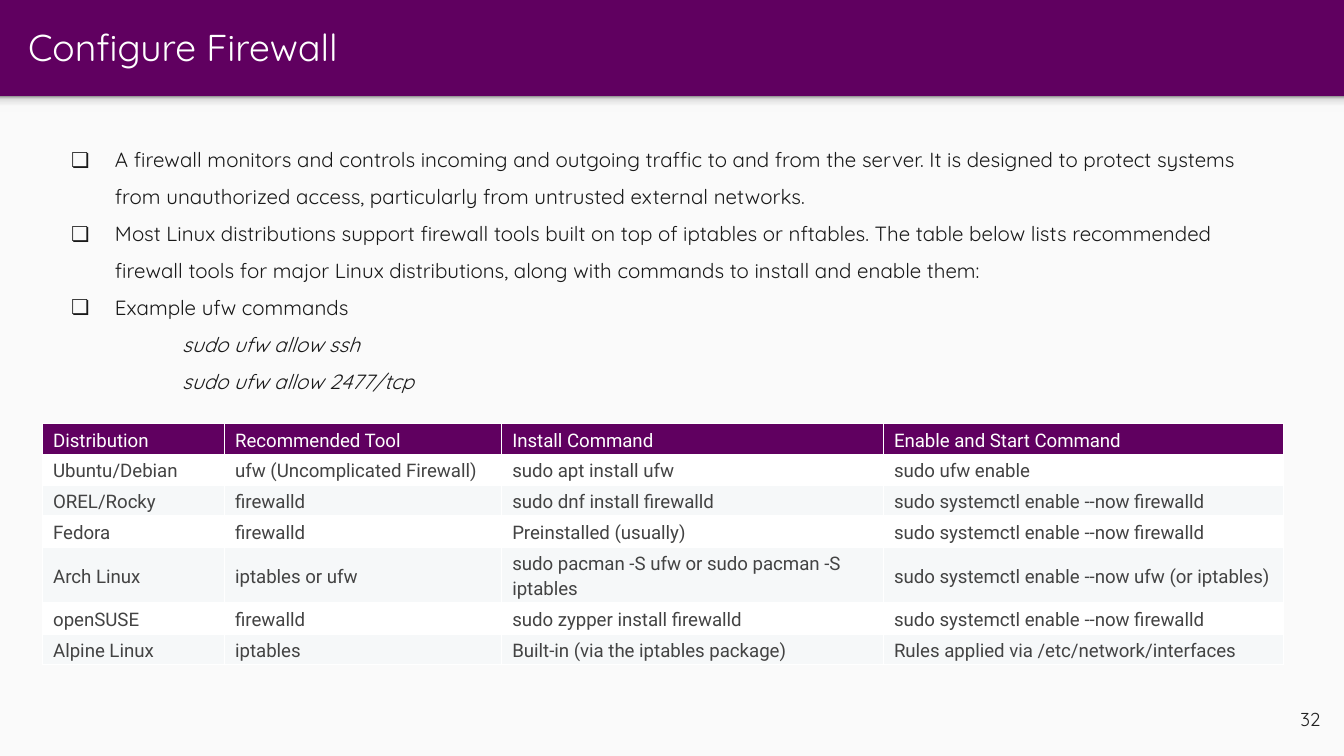
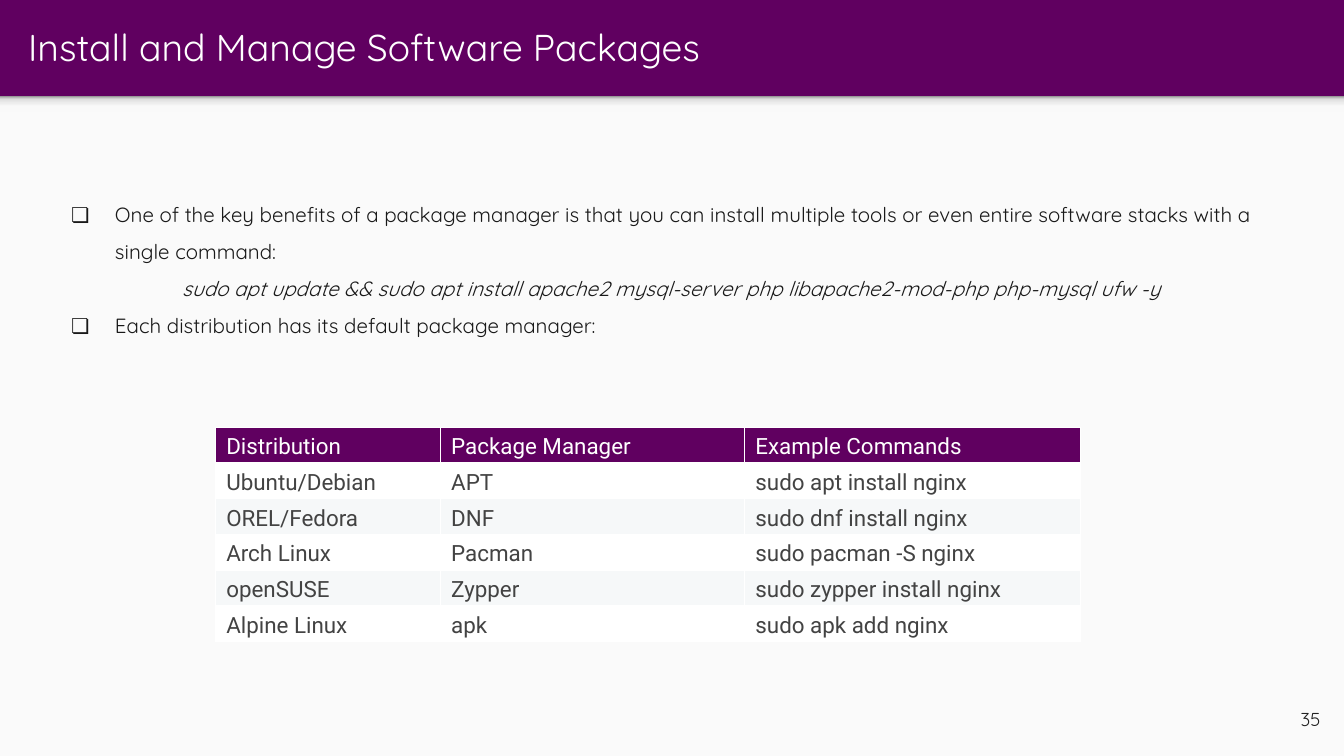
import lxml.etree
import pptx
import pptx.dml.color
import pptx.enum.shapes
import pptx.enum.text
import pptx.oxml.ns
import pptx.util

Pt = pptx.util.Pt
qn = pptx.oxml.ns.qn
RGBColor = pptx.dml.color.RGBColor
MIDDLE = pptx.enum.text.MSO_ANCHOR.MIDDLE

PURPLE = RGBColor(0x60, 0x00, 0x60)
PAPER = RGBColor(0xFA, 0xFA, 0xFA)
WHITE = RGBColor(0xFF, 0xFF, 0xFF)
STRIPE = RGBColor(0xF6, 0xF8, 0xF9)
BODY_TEXT = RGBColor(0x19, 0x19, 0x19)
NUMBER_TEXT = RGBColor(0x21, 0x21, 0x21)
CELL_TEXT = RGBColor(0x43, 0x43, 0x43)
SHADOW_STOPS = [(0, "F9F9F9"), (36, "F9F9F9"), (80, "DEDEDE"), (100, "999999")]

HEADING_FONT = "Quicksand"
TABLE_FONT = "Roboto"
WIDTH, HEIGHT = 720, 405
BAND_HEIGHT = 51.5
ROW_HEIGHT = 16.5
BODY_SIZE = 11

POINT, COMMAND = "point", "command"

SLIDES = [
    {
        "title": "Configure Firewall",
        "number": "32",
        "body": [
            (POINT, "A firewall monitors and controls incoming and outgoing traffic to and from "
                    "the server. It is designed to protect systems from unauthorized access, "
                    "particularly from untrusted external networks."),
            (POINT, "Most Linux distributions support firewall tools built on top of iptables or "
                    "nftables. The table below lists recommended firewall tools for major Linux "
                    "distributions, along with commands to install and enable them:"),
            (POINT, "Example ufw commands"),
            (COMMAND, "sudo ufw allow ssh"),
            (COMMAND, "sudo ufw allow 2477/tcp"),
        ],
        "table_at": (22.75, 227),
        "table_size": 10,
        "columns": [97.5, 148.5, 204.5, 214.5],
        "rows": [
            ("Distribution", "Recommended Tool", "Install Command", "Enable and Start Command"),
            ("Ubuntu/Debian", "ufw (Uncomplicated Firewall)", "sudo apt install ufw",
             "sudo ufw enable"),
            ("OREL/Rocky", "firewalld", "sudo dnf install firewalld",
             "sudo systemctl enable --now firewalld"),
            ("Fedora", "firewalld", "Preinstalled (usually)",
             "sudo systemctl enable --now firewalld"),
            ("Arch Linux", "iptables or ufw", "sudo pacman -S ufw or sudo pacman -S iptables",
             "sudo systemctl enable --now ufw (or iptables)"),
            ("openSUSE", "firewalld", "sudo zypper install firewalld",
             "sudo systemctl enable --now firewalld"),
            ("Alpine Linux", "iptables", "Built-in (via the iptables package)",
             "Rules applied via /etc/network/interfaces"),
        ],
    },
    {
        "title": "Install and Manage Software Packages",
        "number": "35",
        "body": [
            (POINT, "One of the key benefits of a package manager is that you can install multiple "
                    "tools or even entire software stacks with a single command:"),
            (COMMAND, "sudo apt update && sudo apt install apache2 mysql-server php "
                      "libapache2-mod-php php-mysql ufw -y"),
            (POINT, "Each distribution has its default package manager:"),
        ],
        "table_at": (115.5, 229),
        "table_size": 12,
        "columns": [120.5, 163, 180],
        "rows": [
            ("Distribution", "Package Manager", "Example Commands"),
            ("Ubuntu/Debian", "APT", "sudo apt install nginx"),
            ("OREL/Fedora", "DNF", "sudo dnf install nginx"),
            ("Arch Linux", "Pacman", "sudo pacman -S nginx"),
            ("openSUSE", "Zypper", "sudo zypper install nginx"),
            ("Alpine Linux", "apk", "sudo apk add nginx"),
        ],
    },
]


def set_font(paragraph, name, size, color, italic=False):
    font = paragraph.font
    font.name, font.size, font.italic, font.bold = name, Pt(size), italic, False
    font.color.rgb = color


def add_rectangle(slide, top, height):
    shape = slide.shapes.add_shape(pptx.enum.shapes.MSO_SHAPE.RECTANGLE,
                                   0, Pt(top), Pt(WIDTH), Pt(height))
    shape.shadow.inherit = False
    shape.line.fill.background()
    return shape


def add_text_frame(slide, left, top, width, height):
    """Add a wrapping, vertically centred text box and return its frame."""
    frame = slide.shapes.add_textbox(Pt(left), Pt(top), Pt(width), Pt(height)).text_frame
    frame.word_wrap = True
    frame.vertical_anchor = MIDDLE
    frame.margin_left = frame.margin_right = Pt(7.2)
    frame.margin_top = frame.margin_bottom = Pt(7.2)
    return frame


def add_backdrop(slide):
    """Leave the purple title band free and shade the page just below it."""
    page = add_rectangle(slide, BAND_HEIGHT, HEIGHT - BAND_HEIGHT)
    page.fill.solid()
    page.fill.fore_color.rgb = PAPER
    band_shadow = add_rectangle(slide, BAND_HEIGHT, 8.5)
    band_shadow.fill.gradient()
    band_shadow.fill.gradient_angle = 90
    stops = next(band_shadow._element.iter(qn("a:gsLst")))
    for stop in list(stops):
        stops.remove(stop)
    for position, color in SHADOW_STOPS:
        stop = lxml.etree.SubElement(stops, qn("a:gs"), pos=str(position * 1000))
        lxml.etree.SubElement(stop, qn("a:srgbClr"), val=color)


def add_line(slide, box, text, size, color):
    """Add a text box holding one paragraph and return the paragraph."""
    paragraph = add_text_frame(slide, *box).paragraphs[0]
    paragraph.text = text
    set_font(paragraph, HEADING_FONT, size, color)
    return paragraph


def add_body(slide, items):
    frame = add_text_frame(slide, 18.5, 59.5, 674.5, 164)
    for index, (kind, text) in enumerate(items):
        paragraph = frame.add_paragraph() if index else frame.paragraphs[0]
        paragraph.text = text
        properties = paragraph._p.get_or_add_pPr()
        is_point = kind == POINT
        properties.set("marL", str(Pt(36 if is_point else 72)))
        properties.set("indent", str(Pt(-23.5 if is_point else 0)))
        if is_point:
            bullet_color = lxml.etree.SubElement(properties, qn("a:buClr"))
            lxml.etree.SubElement(bullet_color, qn("a:srgbClr"), val=str(BODY_TEXT))
            lxml.etree.SubElement(properties, qn("a:buSzPts"), val=str(BODY_SIZE * 100))
            lxml.etree.SubElement(properties, qn("a:buFont"), typeface=HEADING_FONT)
            lxml.etree.SubElement(properties, qn("a:buChar"), char="❏")
        else:
            lxml.etree.SubElement(properties, qn("a:buNone"))
        paragraph.line_spacing = 1.5
        set_font(paragraph, HEADING_FONT, BODY_SIZE, BODY_TEXT, italic=not is_point)


def add_borders(cell):
    properties = cell._tc.get_or_add_tcPr()
    for side in ("lnL", "lnR", "lnT", "lnB"):
        line = lxml.etree.SubElement(properties, qn("a:" + side), w=str(Pt(0.83)))
        fill = lxml.etree.SubElement(line, qn("a:solidFill"))
        lxml.etree.SubElement(fill, qn("a:srgbClr"), val=str(WHITE))


def add_table(slide, position, columns, rows, size):
    left, top = position
    table = slide.shapes.add_table(len(rows), len(columns), Pt(left), Pt(top),
                                   Pt(sum(columns)), Pt(ROW_HEIGHT * len(rows))).table
    table.horz_banding = False
    for column, width in zip(table.columns, columns):
        column.width = Pt(width)
    for row_index, texts in enumerate(rows):
        table.rows[row_index].height = Pt(ROW_HEIGHT)
        is_header = row_index == 0
        fill = PURPLE if is_header else WHITE if row_index % 2 else STRIPE
        for column_index, text in enumerate(texts):
            cell = table.cell(row_index, column_index)
            add_borders(cell)
            cell.fill.solid()
            cell.fill.fore_color.rgb = fill
            cell.vertical_anchor = MIDDLE
            cell.margin_left = cell.margin_right = Pt(5.75)
            cell.margin_top = cell.margin_bottom = Pt(1.25)
            paragraph = cell.text_frame.paragraphs[0]
            paragraph.text = text
            paragraph.line_spacing = 1.15
            set_font(paragraph, TABLE_FONT, size, WHITE if is_header else CELL_TEXT)


def main():
    presentation = pptx.Presentation()
    presentation.slide_width, presentation.slide_height = Pt(WIDTH), Pt(HEIGHT)
    background = presentation.slide_master.background.fill
    background.solid()
    background.fore_color.rgb = PURPLE
    for content in SLIDES:
        slide = presentation.slides.add_slide(presentation.slide_layouts[6])
        add_backdrop(slide)
        add_line(slide, (8, 1, 695, 47.5), content["title"], 20, WHITE)
        number = add_line(slide, (671, 369.5, 43.5, 31), content["number"], 10, NUMBER_TEXT)
        number.alignment = pptx.enum.text.PP_ALIGN.RIGHT
        add_body(slide, content["body"])
        add_table(slide, content["table_at"], content["columns"], content["rows"],
                  content["table_size"])
    presentation.save("out.pptx")


if __name__ == "__main__":
    main()
